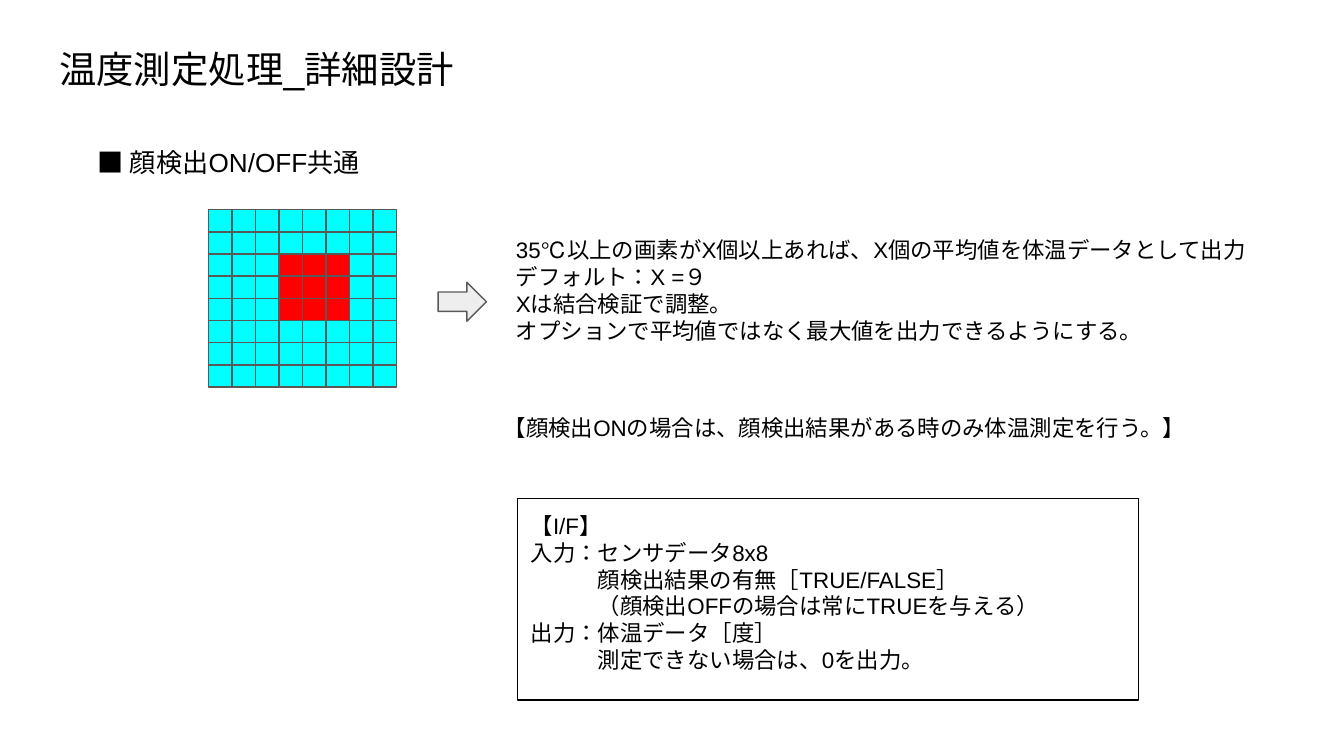
from pptx import Presentation
from pptx.dml.color import RGBColor
from pptx.enum.lang import MSO_LANGUAGE_ID
from pptx.enum.shapes import MSO_SHAPE
from pptx.enum.text import MSO_ANCHOR, MSO_AUTO_SIZE, PP_ALIGN
from pptx.util import Inches, Pt

JAPANESE = MSO_LANGUAGE_ID.JAPANESE
RECTANGLE = MSO_SHAPE.RECTANGLE
RIGHT_ARROW = MSO_SHAPE.RIGHT_ARROW
TOP = MSO_ANCHOR.TOP
NO_AUTOFIT = MSO_AUTO_SIZE.NONE
LEFT = PP_ALIGN.LEFT

COLORS = {
    "text": "000000",
    "outline": "595959",
    "arrow": "EEEEEE",
    "cool": "00FFFF",
    "warm": "FF0000",
}
FONT = "Arial"
TITLE_ONLY_LAYOUT = 5
SLIDE_WIDTH = 10
SLIDE_HEIGHT = SLIDE_WIDTH * 9 / 16
GRID_SIZE = 8
GRID_LEFT, GRID_TOP = 1.55, 1.56
GRID_WIDTH, GRID_HEIGHT = 1.4, 1.32
WARM_ROWS = range(2, 5)
WARM_COLUMNS = range(3, 6)

MEASUREMENT_RULES = [
    "35℃以上の画素がX個以上あれば、X個の平均値を体温データとして出力",
    "デフォルト：X =９",
    "Xは結合検証で調整。\nオプションで平均値ではなく最大値を出力できるようにする。",
]
INTERFACE_LINES = [
    ("【I/F】", 0),
    ("入力：センサデータ8x8", 0),
    ("顔検出結果の有無［TRUE/FALSE］", 0.5),
    ("（顔検出OFFの場合は常にTRUEを与える）", 0.5),
    ("出力：体温データ［度］", 0),
    ("測定できない場合は、0を出力。", 0.5),
]


def rgb(name):
    return RGBColor.from_string(COLORS[name])


def write_lines(shape, lines, size):
    frame = shape.text_frame
    frame.word_wrap = True
    frame.auto_size = NO_AUTOFIT
    frame.vertical_anchor = TOP
    frame.margin_left = frame.margin_right = Inches(0.1)
    frame.margin_top = frame.margin_bottom = Inches(0.1)
    for index, (text, indent) in enumerate(lines):
        paragraph = frame.add_paragraph() if index else frame.paragraphs[0]
        paragraph.text = text
        paragraph.alignment = LEFT
        paragraph.font.name = FONT
        paragraph.font.size = Pt(size)
        paragraph.font.color.rgb = rgb("text")
        for run in paragraph.runs:
            run.font.language_id = JAPANESE
        if indent:
            paragraph._p.get_or_add_pPr().set("marL", str(Inches(indent)))


def add_title(slide, text):
    title = slide.shapes.title
    title.left, title.top = Inches(0.34), Inches(0.24)
    title.width, title.height = Inches(9.32), Inches(0.63)
    write_lines(title, [(text, 0)], 20)


def add_text(slide, lines, left, top, width, height, size=12):
    box = slide.shapes.add_textbox(
        Inches(left), Inches(top), Inches(width), Inches(height))
    write_lines(box, [(line, 0) for line in lines], size)


def add_outlined(slide, kind, left, top, width, height, fill=None, line="outline"):
    shape = slide.shapes.add_shape(
        kind, Inches(left), Inches(top), Inches(width), Inches(height))
    shape.shadow.inherit = False
    if fill:
        shape.fill.solid()
        shape.fill.fore_color.rgb = rgb(fill)
    else:
        shape.fill.background()
    shape.line.color.rgb = rgb(line)
    shape.line.width = Pt(0.75)
    return shape


def add_sensor_grid(slide):
    cell_width = GRID_WIDTH / GRID_SIZE
    cell_height = GRID_HEIGHT / GRID_SIZE
    for row in range(GRID_SIZE):
        for column in range(GRID_SIZE):
            is_warm = row in WARM_ROWS and column in WARM_COLUMNS
            add_outlined(
                slide, RECTANGLE,
                GRID_LEFT + column * cell_width, GRID_TOP + row * cell_height,
                cell_width, cell_height, "warm" if is_warm else "cool")


def add_interface_box(slide):
    interface = add_outlined(slide, RECTANGLE, 3.85, 3.71, 4.62, 1.5, line="text")
    write_lines(interface, INTERFACE_LINES, 12)


def main():
    deck = Presentation()
    deck.slide_width, deck.slide_height = Inches(SLIDE_WIDTH), Inches(SLIDE_HEIGHT)
    slide = deck.slides.add_slide(deck.slide_layouts[TITLE_ONLY_LAYOUT])
    add_title(slide, "温度測定処理_詳細設計")
    add_text(slide, ["■ 顔検出ON/OFF共通"], 0.63, 0.99, 2.3, 0.33, size=14)
    add_sensor_grid(slide)
    add_outlined(slide, RIGHT_ARROW, 3.26, 2.1, 0.36, 0.29, "arrow")
    add_text(slide, MEASUREMENT_RULES, 3.74, 1.66, 5.68, 1.16)
    add_text(slide, ["【顔検出ONの場合は、顔検出結果がある時のみ体温測定を行う。】"],
             3.65, 2.98, 5.43, 0.41)
    add_interface_box(slide)
    deck.save("out.pptx")


if __name__ == "__main__":
    main()
